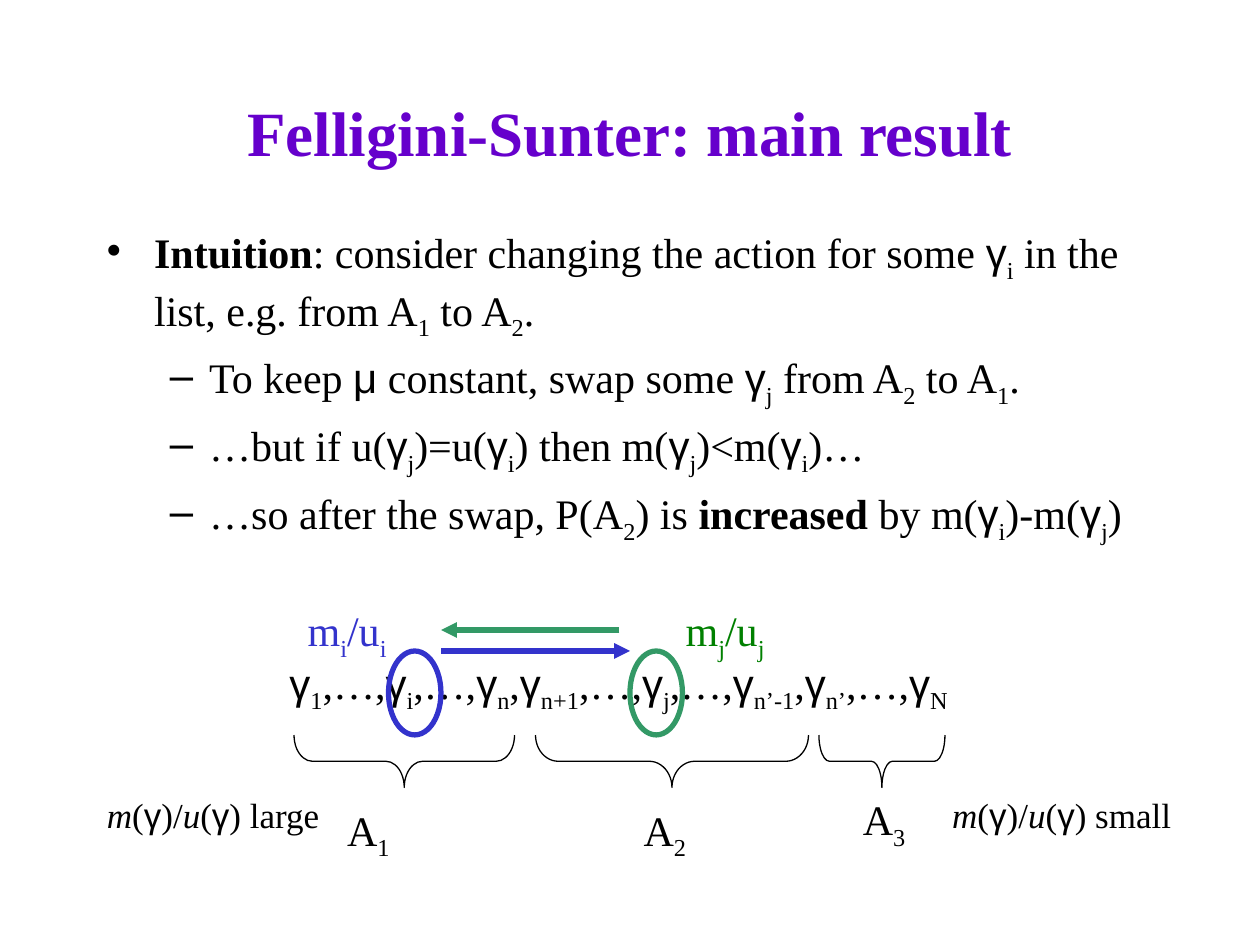
from dataclasses import dataclass
from itertools import groupby

from pptx import Presentation
from pptx.dml.color import RGBColor
from pptx.enum.shapes import MSO_CONNECTOR, MSO_SHAPE
from pptx.enum.text import MSO_ANCHOR, MSO_AUTO_SIZE, PP_ALIGN
from pptx.oxml.ns import qn
from pptx.util import Emu, Pt
from lxml.etree import SubElement

PX = 9525  # EMU in one px, 96 px to the inch
SERIF, GREEK_FONT = "Times New Roman", "Arial"
BLACK, PURPLE, BLUE, TEAL, GREEN = "000000", "6600CC", "3333CC", "339966", "008000"
BRACE_TOP, BRACE_DEPTH = 560, 40


@dataclass
class Label:
    text: str
    left: int
    top: int
    width: int
    height: int = 54
    size: int = 24
    color: str = BLACK
    wrap: bool = False


@dataclass
class Bullet:
    text: str
    level: int = 1


@dataclass
class Brace:
    left: int
    length: int


@dataclass
class Ring:
    left: int
    color: str


@dataclass
class Arrow:
    start: int
    end: int
    y: int
    color: str


# In the texts, *bold*, ~italic~ and _subscript_ are marked by pairs of signs
BULLETS = [
    Bullet("*Intuition*: consider changing the action for some γ_i_ in the list, "
           "e.g. from A_1_ to A_2_.", 0),
    Bullet("To keep μ constant, swap some γ_j_ from A_2_ to A_1_."),
    Bullet("…but if u(γ_j_)=u(γ_i_) then m(γ_j_)<m(γ_i_)…"),
    Bullet("…so after the swap, P(A_2_) is *increased* by m(γ_i_)-m(γ_j_)"),
]
BULLET_STYLES = [("•", 36, -36), ("–", 78, -30)]  # sign, margin, indent
LABELS = [
    Label("A_1_", 255, 608, 53, wrap=True),
    Label("A_2_", 481, 608, 52),
    Label("A_3_", 648, 600, 88, wrap=True),
    Label("~m~(γ)/~u~(γ) large", 72, 600, 184, 42, 20, wrap=True),
    Label("~m~(γ)/~u~(γ) small", 716, 600, 189, 42, 20),
    Label("γ_1_,…,γ_i_,…,γ_n_,γ_n+1_,…,γ_j_,…,γ_n’-1_,γ_n’_,…,γ_N_", 211, 496, 538),
    Label("m_i_/u_i_", 225, 456, 79, color=BLUE),
    Label("m_j_/u_j_", 513, 456, 79, color=GREEN),
]
BRACES = [Brace(224, 168), Brace(408, 208), Brace(624, 96)]
RINGS = [Ring(296, BLUE), Ring(480, TEAL)]
ARROWS = [Arrow(336, 480, 496, BLUE), Arrow(472, 336, 480, TEAL)]


def px(length: float) -> Emu:
    return Emu(round(length * PX))


def rgb(color: str) -> RGBColor:
    return RGBColor.from_string(color)


def write(para, text: str, size: int, color: str) -> None:
    """Add one run for each stretch of equally styled characters."""
    active = {"*": False, "~": False, "_": False}
    styled = []
    for char in text:
        if char in active:
            active[char] = not active[char]
        else:
            font_name = GREEK_FONT if char in "γμ" else SERIF
            styled.append((char, (*active.values(), font_name)))
    for (bold, italic, subscript, font_name), group in groupby(styled, lambda item: item[1]):
        span = para.add_run()
        span.text = "".join(char for char, _ in group)
        span.font.name, span.font.size = font_name, Pt(size)
        span.font.bold, span.font.italic = bold, italic
        span.font.color.rgb = rgb(color)
        if subscript:
            span.font._element.set("baseline", "-25000")


def add_label(page, label: Label) -> None:
    box = page.shapes.add_textbox(px(label.left), px(label.top), px(label.width), px(label.height))
    frame = box.text_frame
    frame.word_wrap = label.wrap
    frame.auto_size = MSO_AUTO_SIZE.SHAPE_TO_FIT_TEXT
    write(frame.paragraphs[0], label.text, label.size, label.color)


def set_bullet(para, level: int) -> None:
    sign, margin, indent = BULLET_STYLES[level]
    para.level = level
    para.space_before = Pt(6)
    properties = para._p.get_or_add_pPr()
    properties.set("marL", str(px(margin)))
    properties.set("indent", str(px(indent)))
    SubElement(properties, qn("a:buChar")).set("char", sign)


def add_bullets(page, bullets: list[Bullet]) -> None:
    frame = page.shapes.add_textbox(px(72), px(168), px(816), px(256)).text_frame
    frame.word_wrap = True
    for index, bullet in enumerate(bullets):
        para = frame.add_paragraph() if index else frame.paragraphs[0]
        set_bullet(para, bullet.level)
        write(para, bullet.text, 24, BLACK)


def add_outline(page, kind, left: float, top: float, width: int, height: int,
                color: str, weight: float):
    shape = page.shapes.add_shape(kind, px(left), px(top), px(width), px(height))
    shape.shadow.inherit = False
    shape.fill.background()
    shape.line.color.rgb = rgb(color)
    shape.line.width = Pt(weight)
    return shape


def add_brace(page, brace: Brace) -> None:
    # A left brace turned about its centre, so that it points down
    offset = (brace.length - BRACE_DEPTH) / 2
    shape = add_outline(page, MSO_SHAPE.LEFT_BRACE, brace.left + offset, BRACE_TOP - offset,
                        BRACE_DEPTH, brace.length, BLACK, 0.75)
    shape.rotation = 270
    shape.adjustments[0] = brace.length / 12 / BRACE_DEPTH


def add_arrow(page, arrow: Arrow) -> None:
    line = page.shapes.add_connector(MSO_CONNECTOR.STRAIGHT, px(arrow.start), px(arrow.y),
                                     px(arrow.end), px(arrow.y))
    line.line.color.rgb = rgb(arrow.color)
    line.line.width = Pt(3)
    SubElement(line.line._get_or_add_ln(), qn("a:tailEnd")).set("type", "triangle")
    SubElement(line._element.spPr, qn("a:effectLst"))


def main() -> None:
    deck = Presentation()
    deck.slide_width, deck.slide_height = px(960), px(720)
    page = deck.slides.add_slide(deck.slide_layouts[5])

    # Title
    title = page.shapes.title
    title.left, title.top, title.width, title.height = px(72), px(40), px(816), px(120)
    title.text_frame.vertical_anchor = MSO_ANCHOR.MIDDLE
    heading = title.text_frame.paragraphs[0]
    heading.alignment = PP_ALIGN.CENTER
    write(heading, "*Felligini-Sunter: main result*", 36, PURPLE)

    # Argument
    add_bullets(page, BULLETS)

    # Ordered list with its three groups and the swap
    for brace in BRACES:
        add_brace(page, brace)
    for label in LABELS:
        add_label(page, label)
    for ring in RINGS:
        add_outline(page, MSO_SHAPE.OVAL, ring.left, 496, 40, 64, ring.color, 3)
    for arrow in ARROWS:
        add_arrow(page, arrow)

    deck.save("out.pptx")


if __name__ == "__main__":
    main()
